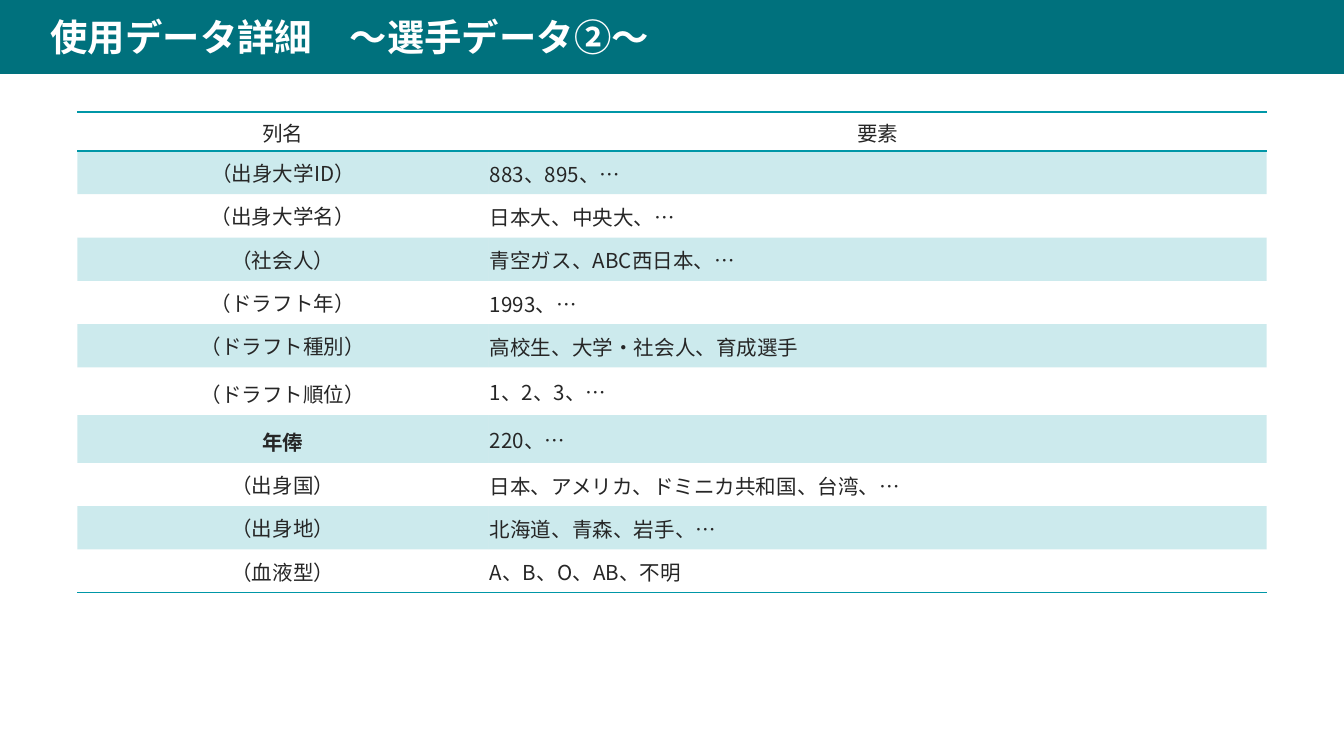
from lxml import etree
from pptx import Presentation, util as u
from pptx.dml.color import RGBColor
from pptx.enum import shapes, text
from pptx.oxml.ns import qn

TITLE = "　使用データ詳細　〜選手データ②〜"
HEADER = ("列名", "要素")
COLUMNS = [
    ("（出身大学ID）", "883、895、…"),
    ("（出身大学名）", "日本大、中央大、…"),
    ("（社会人）", "青空ガス、ABC西日本、…"),
    ("（ドラフト年）", "1993、…"),
    ("（ドラフト種別）", "高校生、大学・社会人、育成選手"),
    ("（ドラフト順位）", "1、2、3、…"),
    ("年俸", "220、…"),
    ("（出身国）", "日本、アメリカ、ドミニカ共和国、台湾、…"),
    ("（出身地）", "北海道、青森、岩手、…"),
    ("（血液型）", "A、B、O、AB、不明"),
]
BOLD = {"年俸"}
LOOSE = {"（ドラフト順位）", "年俸"}

COLORS = {"banner": "00717D", "title": "FFFFFF", "ink": "262626", "accent": "0097A7"}
FONT = "Noto Sans CJK JP"
PLAIN_STYLE = "{2D5ABB26-0587-4C30-8999-92F81FD0307C}"
WIDTH = 10
HEIGHT = WIDTH * 9 / 16
BANNER_H = 0.55
COL_WIDTHS = (3.06, 5.79)
TABLE_W = sum(COL_WIDTHS)
TABLE_LEFT = (WIDTH - TABLE_W) / 2
TABLE_TOP = u.Pt(60)
ROW_H = 0.29
NAME_INSETS = (0.1, 0.05, 0.1, 0.05)
TIGHT_INSETS = (0.01, 0.01, 0.01, 0)


def rgb(key):
    return RGBColor.from_string(COLORS[key])


def add_run(paragraph, words, size, color, bold=False):
    run = paragraph.add_run()
    run.text = words
    run.font.size, run.font.bold, run.font.name = u.Pt(size), bold, FONT
    run.font.color.rgb = rgb(color)
    etree.SubElement(run.font._element, qn("a:ea"), typeface=FONT)


def set_insets(holder, insets):
    sides = ("left", "top", "right", "bottom")
    for side, inset in zip(sides, insets):
        setattr(holder, f"margin_{side}", u.Inches(inset))


def shade(cell):
    """Fill a cell with the accent colour at 20 % opacity."""
    cell.fill.solid()
    cell.fill.fore_color.rgb = rgb("accent")
    color = cell._tc.tcPr.find(qn("a:solidFill"))[0]
    etree.SubElement(color, qn("a:alpha"), val="20000")


def rule(cell, edges):
    """Draw 1 pt accent lines on the given edges, which go before the fill."""
    props = cell._tc.get_or_add_tcPr()
    for place, edge in enumerate(edges):
        line = etree.Element(qn(f"a:ln{edge}"), w=str(u.Pt(1)))
        fill = etree.SubElement(line, qn("a:solidFill"))
        etree.SubElement(fill, qn("a:srgbClr"), val=COLORS["accent"])
        props.insert(place, line)


def add_banner(slide):
    banner = slide.shapes.add_shape(
        shapes.MSO_SHAPE.RECTANGLE, 0, 0, u.Inches(WIDTH), u.Inches(BANNER_H))
    banner.shadow.inherit = False
    banner.fill.solid()
    banner.fill.fore_color.rgb = rgb("banner")
    banner.line.fill.background()
    frame = banner.text_frame
    frame.word_wrap = True
    frame.vertical_anchor = text.MSO_ANCHOR.MIDDLE
    set_insets(frame, (0.1, 0.1, 0.1, 0.1))
    title = frame.paragraphs[0]
    title.alignment = text.PP_ALIGN.LEFT
    add_run(title, TITLE, 20, "title", bold=True)


def add_column_table(slide):
    rows = [HEADER, *COLUMNS]
    last = len(rows) - 1
    table = slide.shapes.add_table(
        len(rows), len(HEADER), u.Inches(TABLE_LEFT), TABLE_TOP,
        u.Inches(TABLE_W), u.Inches(ROW_H * len(rows))).table
    table._tbl.tblPr.find(qn("a:tableStyleId")).text = PLAIN_STYLE
    table.first_row = table.horz_banding = False
    for column, width in zip(table.columns, COL_WIDTHS):
        column.width = u.Inches(width)

    for r, row in enumerate(rows):
        table.rows[r].height = u.Inches(ROW_H)
        for c, words in enumerate(row):
            cell = table.cell(r, c)
            is_name = r > 0 and c == 0
            set_insets(cell, NAME_INSETS if is_name else TIGHT_INSETS)
            cell.vertical_anchor = (
                text.MSO_ANCHOR.TOP if is_name else text.MSO_ANCHOR.MIDDLE)
            paragraph = cell.text_frame.paragraphs[0]
            centred = r == 0 or is_name
            paragraph.alignment = (
                text.PP_ALIGN.CENTER if centred else text.PP_ALIGN.LEFT)
            if words in LOOSE:
                paragraph.line_spacing = 1.15
            add_run(paragraph, words, 11, "ink", words in BOLD)
            if r % 2:
                shade(cell)
            else:
                cell.fill.background()
            rule(cell, {0: "TB", last: "B"}.get(r, ""))


def main():
    deck = Presentation()
    deck.slide_width, deck.slide_height = u.Inches(WIDTH), u.Inches(HEIGHT)
    slide = deck.slides.add_slide(deck.slide_layouts[6])
    add_banner(slide)
    add_column_table(slide)
    deck.save("out.pptx")


if __name__ == "__main__":
    main()
